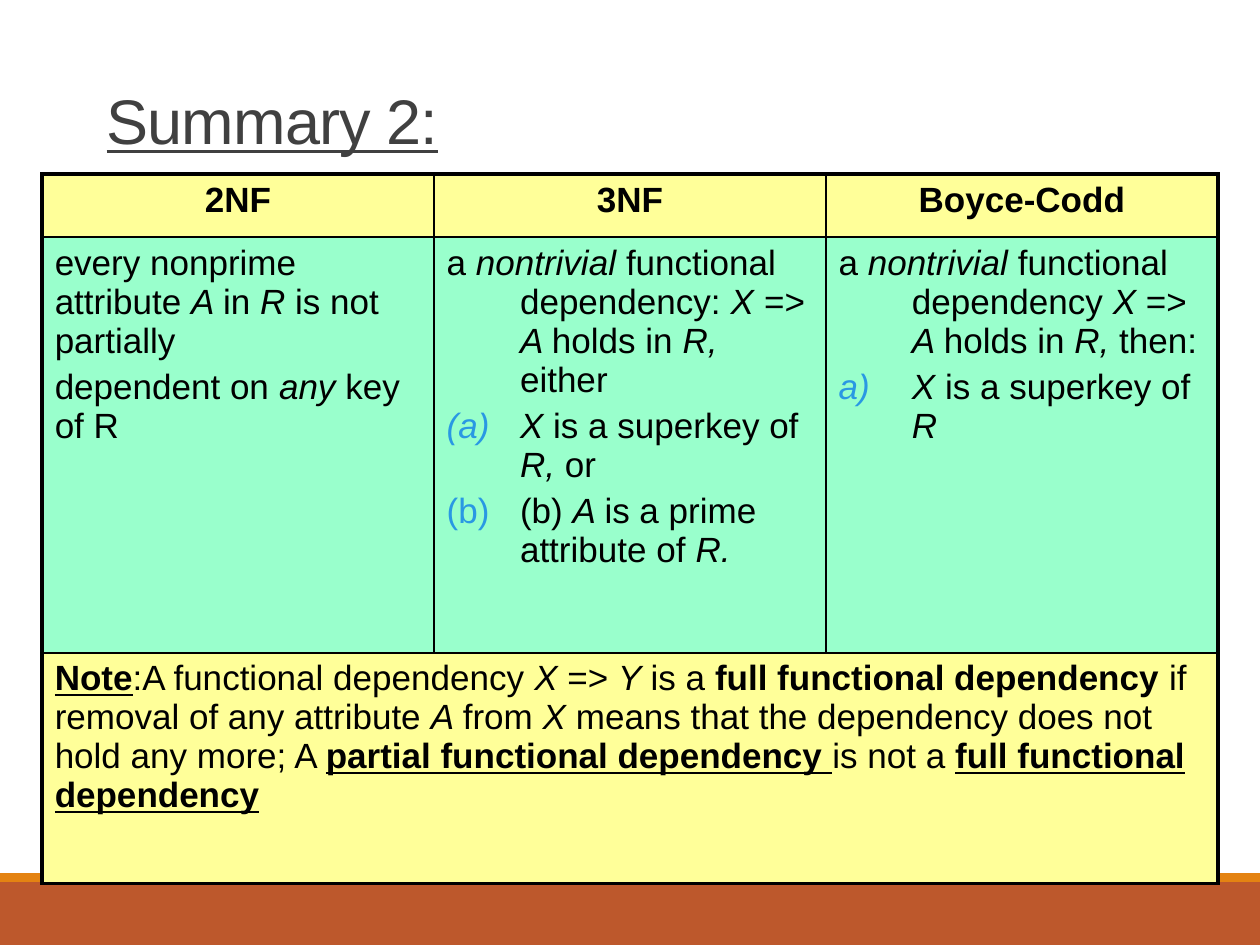
from dataclasses import dataclass

from lxml import etree
from pptx import Presentation
from pptx.dml.color import RGBColor
from pptx.enum import shapes, text
from pptx.oxml import ns
from pptx.util import Cm, Pt


@dataclass(frozen=True)
class Theme:
    font: str = "Arial"
    title_size: int = 36
    body_size: int = 20
    title: str = "404040"
    ink: str = "000000"
    bullet: str = "2998E3"
    yellow: str = "FFFF99"
    green: str = "99FFCC"
    band: str = "BD582C"
    stripe: str = "E48312"
    outer_line: float = 2.25
    inner_line: float = 1


THEME = Theme()
HANGING = Cm(1.48)
CENTER = text.PP_ALIGN.CENTER

# Each paragraph is (kind, runs); kind is "plain", "hanging" or a numbering
# scheme. Run styles: b bold, i italic, u underlined.
HEADINGS = ["2NF", "3NF", "Boyce-Codd"]
RULES = [
    [("plain", [("every nonprime attribute ", ""), ("A ", "i"), ("in ", ""),
                ("R ", "i"), ("is not partially", "")]),
     ("plain", [("dependent on ", ""), ("any ", "i"), ("key of R", "")])],
    [("hanging", [("a ", ""), ("nontrivial ", "i"),
                  ("functional dependency: ", ""), ("X => A ", "i"),
                  ("holds in ", ""), ("R, ", "i"), ("either", "")]),
     ("alphaLcParenBoth", [("X ", "i"), ("is a superkey of ", ""),
                           ("R, ", "i"), ("or", "")]),
     ("alphaLcParenBoth", [("(b) ", ""), ("A ", "i"),
                           ("is a prime attribute of ", ""), ("R.", "i")])],
    [("hanging", [("a ", ""), ("nontrivial ", "i"),
                  ("functional dependency ", ""), ("X ", "i"), ("=> ", ""),
                  ("A ", "i"), ("holds in ", ""), ("R, ", "i"),
                  ("then:", "")]),
     ("alphaLcParenR", [("X ", "i"), ("is a superkey of ", ""), ("R", "i")])],
]
NOTE = [("plain", [
    ("Note", "bu"), (":A functional dependency ", ""), ("X ", "i"),
    ("=> ", ""), ("Y ", "i"), ("is a ", ""),
    ("full functional dependency ", "b"),
    ("if removal of any attribute ", ""), ("A ", "i"), ("from ", ""),
    ("X ", "i"),
    ("means that the dependency does not hold any more; A ", ""),
    ("partial functional dependency ", "bu"), ("is not a ", ""),
    ("full functional dependency", "bu")])]


def style_font(font, size, color):
    font.name = THEME.font
    font.size = Pt(size)
    font.color.rgb = RGBColor.from_string(color)


def add_band(page, top, height, color):
    band = page.shapes.add_shape(shapes.MSO_SHAPE.RECTANGLE, 0, top,
                                 Cm(25.4), height)
    band.shadow.inherit = False
    band.fill.solid()
    band.fill.fore_color.rgb = RGBColor.from_string(color)
    band.line.fill.background()


def add_title(page, words):
    box = page.shapes.add_textbox(Cm(1.9), Cm(1.75), Cm(21.6), Cm(1.27))
    box.text_frame.word_wrap = True
    para = box.text_frame.paragraphs[0]
    para.line_spacing = 0.85
    span = para.add_run()
    span.text = words
    style_font(para.font, THEME.title_size, THEME.title)
    style_font(span.font, THEME.title_size, THEME.title)
    span.font.underline = True
    span.font._element.set("spc", "-50")


def set_indent(para, kind):
    """Hang the paragraph and number it where a scheme is given."""
    props = para._p.get_or_add_pPr()
    props.set("marL", str(HANGING))
    props.set("indent", str(-HANGING))
    if kind == "hanging":
        etree.SubElement(props, ns.qn("a:buNone"))
        return
    color = etree.SubElement(props, ns.qn("a:buClr"))
    etree.SubElement(color, ns.qn("a:srgbClr"), val=THEME.bullet)
    etree.SubElement(props, ns.qn("a:buFont"), typeface=THEME.font)
    etree.SubElement(props, ns.qn("a:buAutoNum"), type=kind)


def write_cell(cell, paragraphs, color, align=None):
    cell.fill.solid()
    cell.fill.fore_color.rgb = RGBColor.from_string(color)
    frame = cell.text_frame
    for index, (kind, runs) in enumerate(paragraphs):
        para = frame.add_paragraph() if index else frame.paragraphs[0]
        para.alignment = align
        if index:
            para.space_before = Pt(4)
        if kind != "plain":
            set_indent(para, kind)
        style_font(para.font, THEME.body_size, THEME.ink)
        for words, style in runs:
            span = para.add_run()
            span.text = words
            style_font(span.font, THEME.body_size, THEME.ink)
            span.font.bold = "b" in style
            span.font.italic = "i" in style
            span.font.underline = "u" in style


def set_borders(cell, outer_sides):
    props = cell._tc.get_or_add_tcPr()
    for index, side in enumerate("LRTB"):
        width = THEME.outer_line if side in outer_sides else THEME.inner_line
        line = etree.Element(ns.qn(f"a:ln{side}"), w=str(Pt(width)))
        fill = etree.SubElement(line, ns.qn("a:solidFill"))
        etree.SubElement(fill, ns.qn("a:srgbClr"), val=THEME.ink)
        props.insert(index, line)


def add_summary_table(page):
    table = page.shapes.add_table(3, 3, Cm(0.85), Cm(3.51),
                                  Cm(23.7), Cm(14.3)).table
    for column in table.columns:
        column.width = Cm(7.9)
    for row, height in zip(table.rows, (1.27, 8.38, 4.65)):
        row.height = Cm(height)

    # Headings and rules, one column for each normal form
    for index, (heading, rule) in enumerate(zip(HEADINGS, RULES)):
        write_cell(table.cell(0, index), [("plain", [(heading, "b")])],
                   THEME.yellow, CENTER)
        write_cell(table.cell(1, index), rule, THEME.green)

    # Note across the whole width
    table.cell(2, 0).merge(table.cell(2, 2))
    write_cell(table.cell(2, 0), NOTE, THEME.yellow)

    # Heavy frame, thin inner lines
    for row in range(3):
        for column in range(3):
            spanning = row == 2
            sides = (("L" if column == 0 or spanning else "")
                     + ("R" if column == 2 or spanning else "")
                     + ("T" if row == 0 else "") + ("B" if row == 2 else ""))
            set_borders(table.cell(row, column), sides)


def main():
    deck = Presentation()
    deck.slide_width, deck.slide_height = Cm(25.4), Cm(19.05)
    page = deck.slides.add_slide(deck.slide_layouts[6])
    # Footer bands
    add_band(page, Cm(17.78), Cm(1.27), THEME.band)
    add_band(page, Cm(17.6), Cm(0.18), THEME.stripe)
    # Content
    add_title(page, "Summary 2:")
    add_summary_table(page)
    deck.save("out.pptx")


if __name__ == "__main__":
    main()
